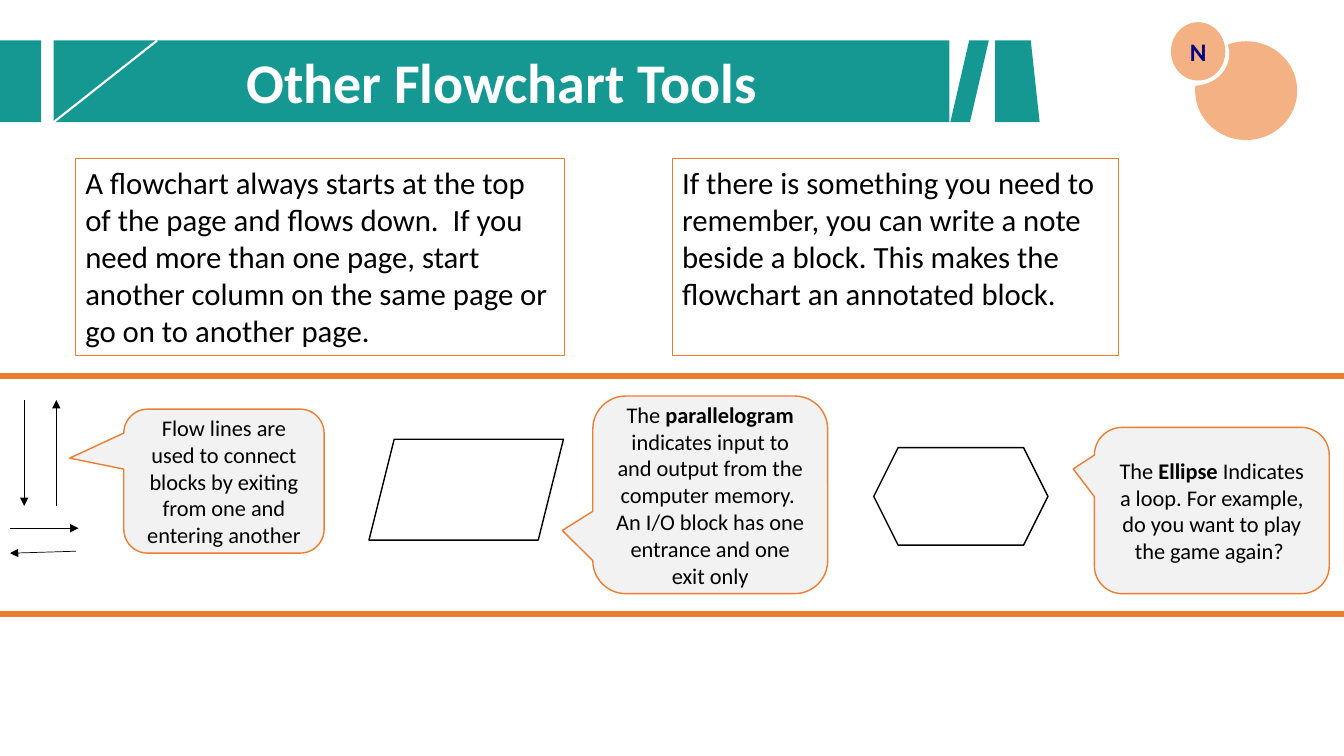
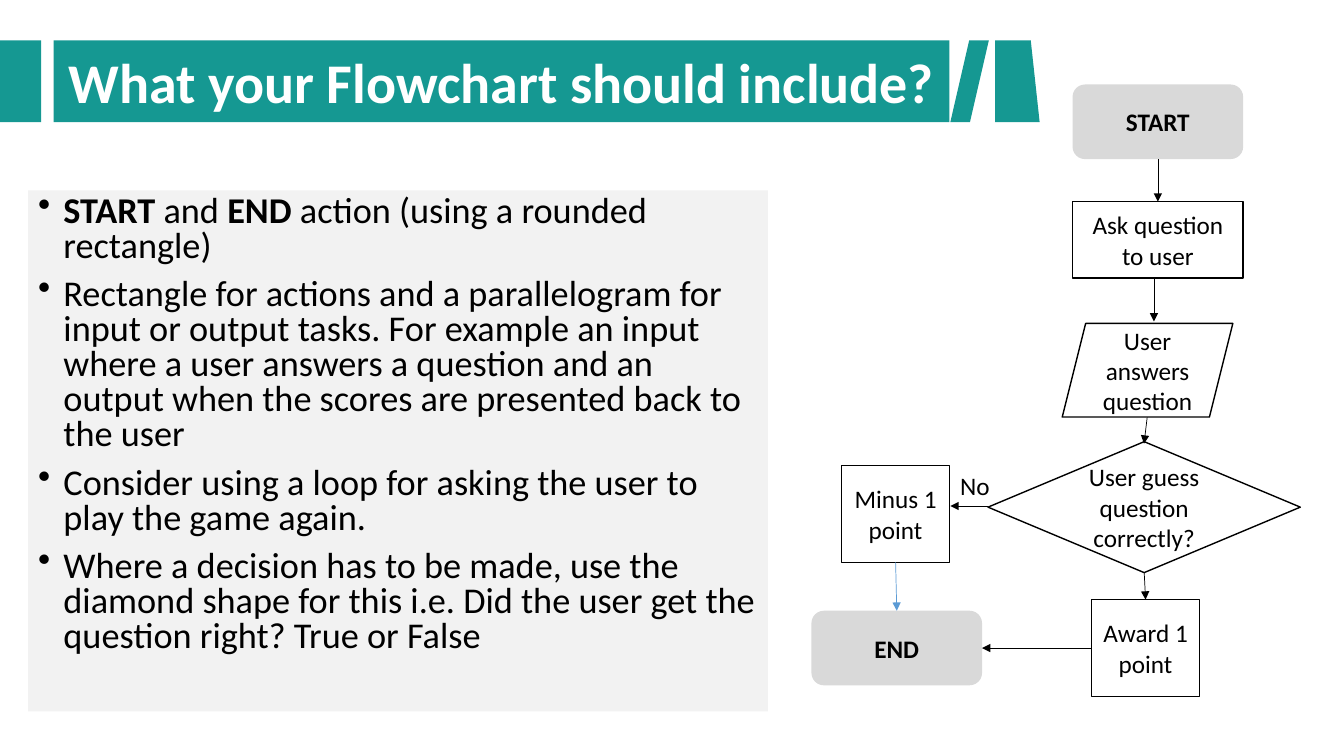
from pptx import Presentation
from pptx.dml.color import RGBColor
from pptx.enum.shapes import MSO_CONNECTOR, MSO_SHAPE
from pptx.enum.text import MSO_ANCHOR, PP_ALIGN
from pptx.oxml.xmlchemy import OxmlElement
from pptx.util import Cm, Pt

RECT = MSO_SHAPE.RECTANGLE
ROUND = MSO_SHAPE.ROUNDED_RECTANGLE
SLANT = MSO_SHAPE.PARALLELOGRAM
HEXAGON = MSO_SHAPE.HEXAGON
DIAMOND = MSO_SHAPE.DIAMOND
ELLIPSE = MSO_SHAPE.OVAL
CALLOUT = MSO_SHAPE.ROUNDED_RECTANGULAR_CALLOUT
MANUAL_INPUT = MSO_SHAPE.FLOWCHART_MANUAL_INPUT
STRAIGHT = MSO_CONNECTOR.STRAIGHT
TOP, MIDDLE = MSO_ANCHOR.TOP, MSO_ANCHOR.MIDDLE
LEFT, CENTER = PP_ALIGN.LEFT, PP_ALIGN.CENTER
SITE_TOP, SITE_LEFT, SITE_BOTTOM, SITE_RIGHT = range(4)

FONT = "Calibri"
TEAL, ORANGE, PEACH = "159892", "ED7D31", "F4B183"
WHITE, BLACK, NAVY, BLUE = "FFFFFF", "000000", "000080", "5B9BD5"
PALE, GREY = "F2F2F2", "D9D9D9"

SLIDE_W, SLIDE_H = 33.87, 19.05
BANNER = (0, 1.02, 26.2, 2.06)
TITLE_X, TITLE_W = 1.35, 22.58


def rgb(value):
    return RGBColor.from_string(value)


def write(tf, paragraphs, size=18, color=BLACK, bold=False, align=CENTER,
          anchor=MIDDLE, bullet=None, spacing=None, before=None):
    """Fill a text frame; words between ** marks are bold."""
    tf.word_wrap = True
    tf.vertical_anchor = anchor
    for i, text in enumerate(paragraphs):
        p = tf.add_paragraph() if i else tf.paragraphs[0]
        p.alignment = align
        if spacing:
            p.line_spacing = spacing
        if before:
            p.space_before = Pt(before)
        if bullet:
            add_bullet(p, bullet)
        for j, part in enumerate(text.split("**")):
            if part:
                r = p.add_run()
                r.text = part
                r.font.name = FONT
                r.font.size = Pt(size)
                r.font.bold = bold or j % 2 == 1
                r.font.color.rgb = rgb(color)


def add_bullet(p, char, indent=0.64):
    pPr = p._p.get_or_add_pPr()
    pPr.set("marL", str(Cm(indent)))
    pPr.set("indent", str(-Cm(indent)))
    bu = OxmlElement("a:buChar")
    bu.set("char", char)
    pPr.append(bu)


def add_box(s, preset, box, fill=None, line=None, width=1, adj=(), text=None, **fmt):
    sp = s.shapes.add_shape(preset, *map(Cm, box))
    sp.shadow.inherit = False
    for i, value in enumerate(adj):
        sp.adjustments[i] = value
    if fill:
        sp.fill.solid()
        sp.fill.fore_color.rgb = rgb(fill)
    else:
        sp.fill.background()
    if line:
        sp.line.color.rgb = rgb(line)
        sp.line.width = Pt(width)
    else:
        sp.line.fill.background()
    if text:
        write(sp.text_frame, [text] if isinstance(text, str) else text, **fmt)
    return sp


def add_line(s, start, end, color=BLACK, width=0.5, arrow=False):
    cx = s.shapes.add_connector(STRAIGHT, *map(Cm, (*start, *end)))
    cx.line.color.rgb = rgb(color)
    cx.line.width = Pt(width)
    if arrow:
        tail = OxmlElement("a:tailEnd")
        tail.set("type", "triangle")
        cx.line._get_or_add_ln().append(tail)
    cx._element.spPr.append(OxmlElement("a:effectLst"))
    return cx


def add_link(s, source, source_site, target, target_site, color=BLACK):
    cx = add_line(s, (0, 0), (1, 1), color, arrow=True)
    cx.begin_connect(source, source_site)
    cx.end_connect(target, target_site)


def add_banner(s, box, title):
    x, y, w, h = box
    add_box(s, RECT, (x, y, 1.04, h), TEAL)
    add_box(s, RECT, (x + TITLE_X, y, TITLE_W, h), TEAL,
            text=title, size=40, color=WHITE, bold=True)
    add_box(s, SLANT, (x + 23.95, y, 0.97, h), TEAL, adj=[0.49])
    # Turned a quarter, so the given width becomes the visible height.
    end_w = 1.12
    end_x = x + w - (end_w + h) / 2
    end = add_box(s, MANUAL_INPUT, (end_x, y + (h - end_w) / 2, h, end_w), TEAL)
    end.rotation = 90


def add_badge(s, box, letter):
    x, y, w, h = box
    add_box(s, ELLIPSE, (x + w - 2.57, y + h - 2.49, 2.57, 2.49), PEACH)
    add_box(s, ELLIPSE, (x, y, 1.8, 1.6), WHITE)
    sp = add_box(s, ELLIPSE, (x + 0.33, y, 1.37, 1.47), PEACH,
                 text=letter, color=NAVY, bold=True)
    sp.text_frame.margin_left = sp.text_frame.margin_right = 0


def add_note(s, box, text):
    add_box(s, RECT, box, line=ORANGE, width=0.75, text=text,
            size=22, align=LEFT, anchor=TOP)


def add_flow_arrows(s, box):
    x, y, w, h = box
    for x1, y1, x2, y2 in [(0.36, 0, 0.36, 2.67), (1.17, 2.67, 1.17, 0),
                           (0, 3.23, w, 3.23), (1.66, h - 0.05, 0, h)]:
        add_line(s, (x + x1, y + y1), (x + x2, y + y2), arrow=True)


def add_symbol_strip(s, box):
    """Symbols with their callouts between two orange rules."""
    x, y, w, h = box
    for rule_y in (y, y + h):
        add_line(s, (x, rule_y), (x + w, rule_y), ORANGE, 4.5)
    add_flow_arrows(s, (x + 0.25, y + 0.61, 1.73, 3.86))
    for preset, left, top, width, height in [(SLANT, 9.3, 1.6, 4.9, 2.54),
                                             (HEXAGON, 22.02, 1.81, 4.39, 2.46)]:
        add_box(s, preset, (x + left, y + top, width, height), WHITE, BLACK)
    callouts = [
        ((3.12, 0.84, 5.05, 3.63), (-0.77, -0.16),
         "Flow lines are used to connect blocks by exiting from one and "
         "entering another"),
        ((14.94, 0.51, 5.92, 4.98), (-0.63, 0.18),
         "The **parallelogram** indicates input to and output from the computer "
         "memory.  An I/O block has one entrance and one exit only"),
        ((27.58, 1.3, 5.92, 4.19), (-0.59, -0.25),
         "The **Ellipse **Indicates a loop. For example, do you want to play "
         "the game again? "),
    ]
    for (left, top, width, height), pointer, text in callouts:
        add_box(s, CALLOUT, (x + left, y + top, width, height), PALE, ORANGE,
                adj=pointer, text=text, size=16)


def add_checklist(s, box, items):
    add_box(s, RECT, box, PALE, text=items, size=25.9, align=LEFT, anchor=TOP,
            bullet="•", spacing=0.8, before=10)


def add_quiz_flowchart(s, box):
    x, y, w, h = box
    step_w, point_w, point_h, end_h = 4.3, 2.72, 2.44, 1.88

    def node(preset, left, top, width, height, text, terminal=False):
        return add_box(s, preset, (x + left, y + top, width, height),
                       GREY if terminal else WHITE, None if terminal else BLACK,
                       text=text, bold=terminal)

    start = node(ROUND, 6.58, 0, step_w, end_h, "START", True)
    end = node(ROUND, 0, 13.26, step_w, end_h, "END", True)
    ask = node(RECT, 6.58, 2.95, step_w, 1.93, "Ask question to user")
    node(SLANT, 6.32, 6.02, step_w, 2.36, "User answers question")
    guess = node(DIAMOND, w - 7.87, 9, 7.87, 3.3, "User guess question correctly?")
    minus = node(RECT, 0.76, 9.6, point_w, point_h, "Minus 1 point")
    award = node(RECT, 7.06, h - point_h, point_w, point_h, "Award 1 point")

    add_link(s, start, SITE_BOTTOM, ask, SITE_TOP)
    add_link(s, guess, SITE_BOTTOM, award, SITE_TOP)
    add_link(s, award, SITE_LEFT, end, SITE_RIGHT)
    add_link(s, minus, SITE_BOTTOM, end, SITE_TOP, BLUE)
    for x1, y1, x2, y2 in [(8.63, 4.88, 8.63, 5.97), (8.46, 8.39, 8.38, 9.05),
                           (4.44, 10.62, 3.5, 10.62)]:
        add_line(s, (x + x1, y + y1), (x + x2, y + y2), arrow=True)

    label = s.shapes.add_textbox(*map(Cm, (x + 3.5, y + 9.6, 1.27, 1.02)))
    write(label.text_frame, ["No"], align=LEFT, anchor=TOP)
    label.text_frame.word_wrap = False


def build_tools_slide(s):
    add_banner(s, BANNER, "Other Flowchart Tools")
    x, y, _, h = BANNER
    add_line(s, (x + TITLE_X, y + h), (x + TITLE_X + 2.61, y), WHITE, 1.5)
    add_badge(s, (29.18, 0.56, 3.51, 2.97), "N")
    add_symbol_strip(s, (0, 9.47, SLIDE_W, 6))
    add_note(s, (1.9, 4, 12.32, 4.95),
             "A flowchart always starts at the top of the page and flows down.  "
             "If you need more than one page, start another column on the same "
             "page or go on to another page.")
    add_note(s, (16.94, 4, 11.25, 4.95),
             "If there is something you need to remember, you can write a note "
             "beside a block. This makes the flowchart an annotated block.")


def build_contents_slide(s):
    add_checklist(s, (0.71, 4.8, 18.64, 13.13), [
        "**START** and **END **action (using a rounded rectangle)",
        "Rectangle for actions and a parallelogram for input or output tasks. "
        "For example an input where a user answers a question and an output "
        "when the scores are presented back to the user",
        "Consider using a loop for asking the user to play the game again.",
        "Where a decision has to be made, use the diamond shape for this i.e. "
        "Did the user get the question right? True or False",
    ])
    add_banner(s, BANNER, "What your Flowchart should include?")
    add_quiz_flowchart(s, (20.45, 2.13, 12.32, 15.42))


def main():
    prs = Presentation()
    prs.slide_width, prs.slide_height = Cm(SLIDE_W), Cm(SLIDE_H)
    blank = prs.slide_layouts[6]
    for build in (build_tools_slide, build_contents_slide):
        build(prs.slides.add_slide(blank))
    prs.save("out.pptx")


if __name__ == "__main__":
    main()
